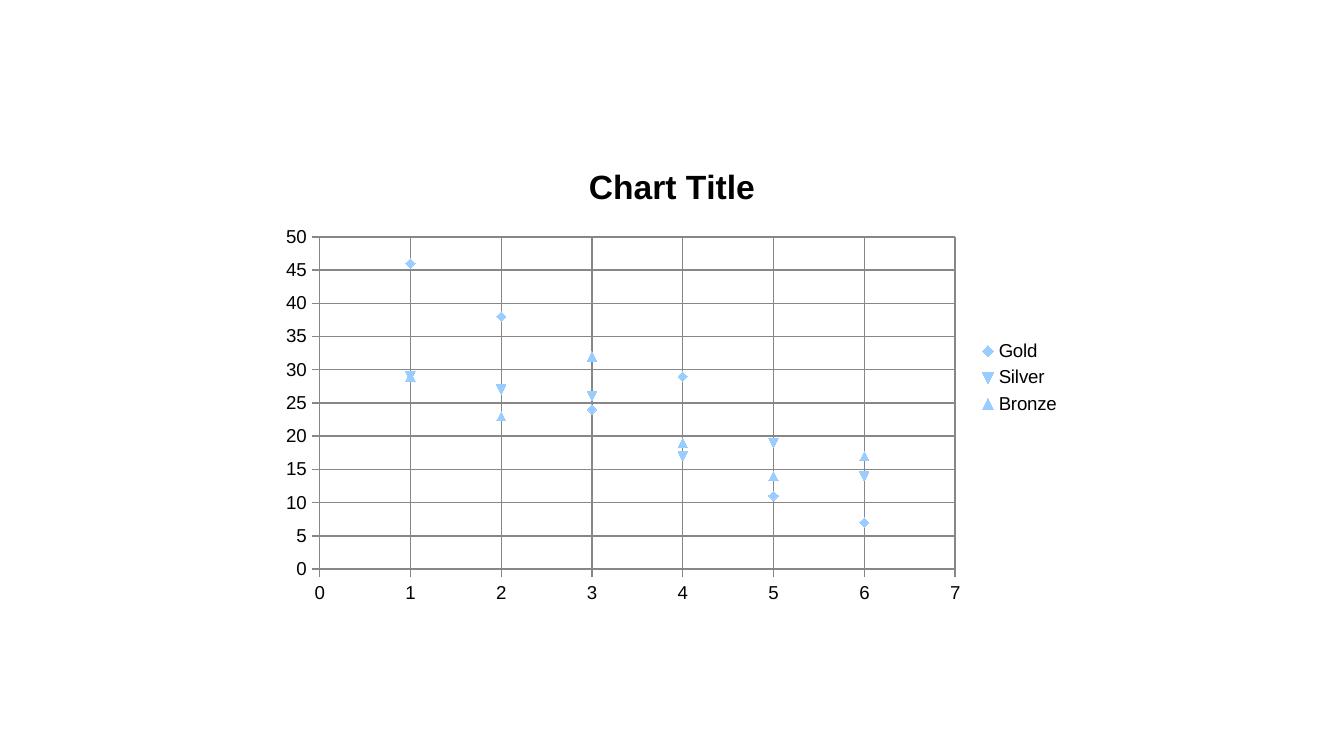
"""Build a slide with a scatter chart of medal counts."""
from pptx import Presentation
from pptx.chart.data import XyChartData
from pptx.dml.color import RGBColor
from pptx.enum.chart import XL_CHART_TYPE, XL_LEGEND_POSITION, XL_TICK_MARK
from pptx.util import Pt

SCATTER = XL_CHART_TYPE.XY_SCATTER
RIGHT = XL_LEGEND_POSITION.RIGHT
OUTSIDE, NO_TICK = XL_TICK_MARK.OUTSIDE, XL_TICK_MARK.NONE
MEDALS = {
    "Gold": [46, 38, 24, 29, 11, 7],
    "Silver": [29, 27, 26, 17, 19, 14],
    "Bronze": [29, 23, 32, 19, 14, 17],
}


def color(hex_text):
    return RGBColor.from_string(hex_text)


deck = Presentation()
deck.slide_width, deck.slide_height = Pt(720), Pt(405)
page = deck.slides.add_slide(deck.slide_layouts[6])

data = XyChartData()
for name, counts in MEDALS.items():
    series = data.add_series(name)
    for position, count in enumerate(counts, start=1):
        series.add_data_point(position, count)

frame = page.shapes.add_chart(SCATTER, Pt(144.7), Pt(76.3), Pt(430.6), Pt(252), data)
chart = frame.chart
chart.font.name = "Arial"
chart.font.size = Pt(10)
chart.font.color.rgb = color("000000")

chart.has_title = True
chart.chart_title.include_in_layout = False
title = chart.chart_title.text_frame
title.text = "Chart Title"
title_font = title.paragraphs[0].runs[0].font
title_font.name = "Arial"
title_font.size = Pt(18)
title_font.bold = True
title_font.color.rgb = color("000000")

chart.has_legend = True
chart.legend.position = RIGHT
chart.legend.include_in_layout = False

for axis, top, step in ((chart.category_axis, 7, 1), (chart.value_axis, 50, 5)):
    axis.minimum_scale = 0
    axis.maximum_scale = top
    axis.major_unit = step
    axis.major_tick_mark = OUTSIDE
    axis.minor_tick_mark = NO_TICK
    axis.has_major_gridlines = True
    for line in (axis.format.line, axis.major_gridlines.format.line):
        line.color.rgb = color("878787")
        line.width = Pt(0.75)

plot = chart.plots[0]
plot.vary_by_categories = False
for series in plot.series:
    series.smooth = False
    series.format.line.fill.background()
    marker = series.marker.format
    marker.fill.solid()
    marker.fill.fore_color.rgb = color("99CCFF")
    marker.line.color.rgb = color("99CCFF")

deck.save("out.pptx")
